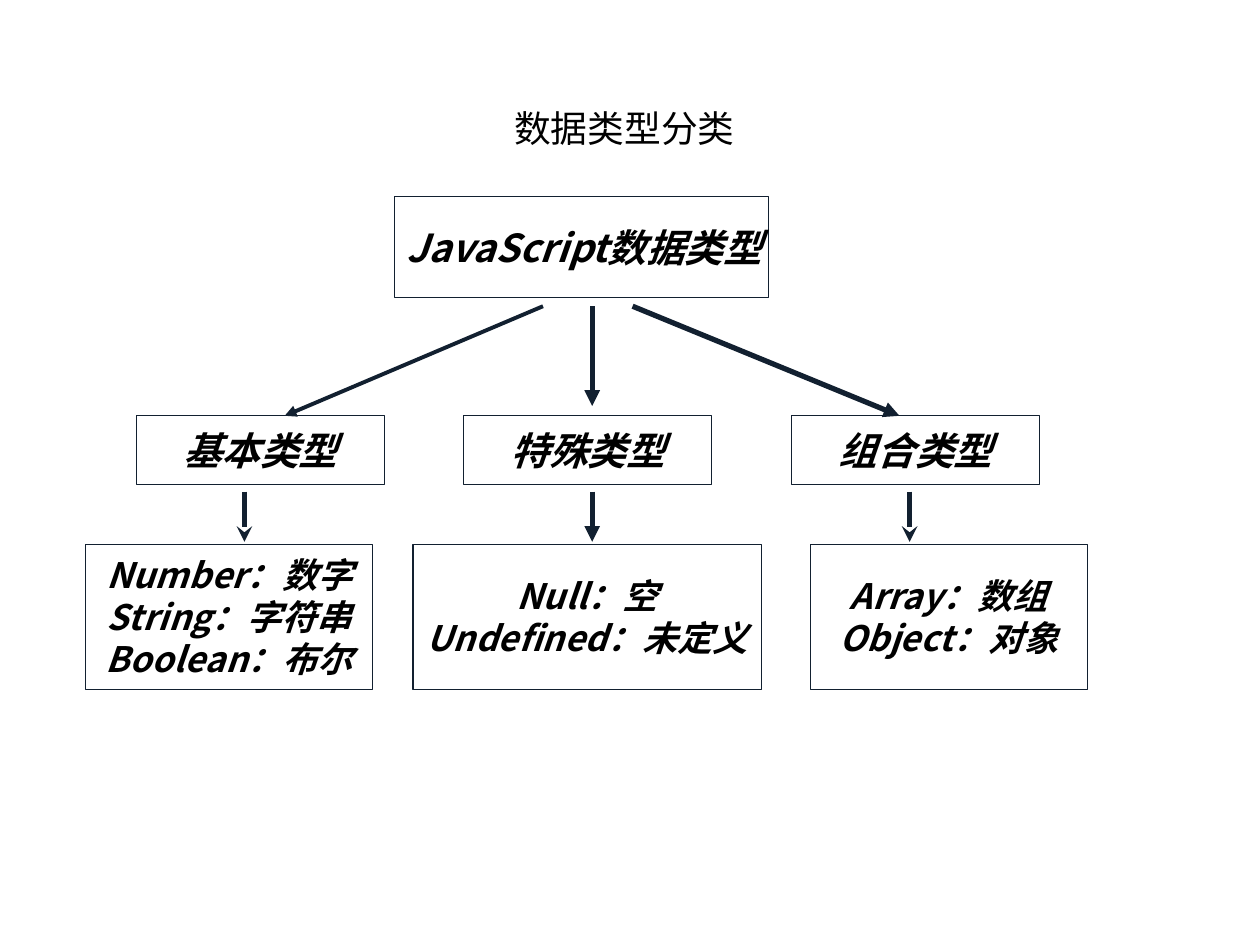
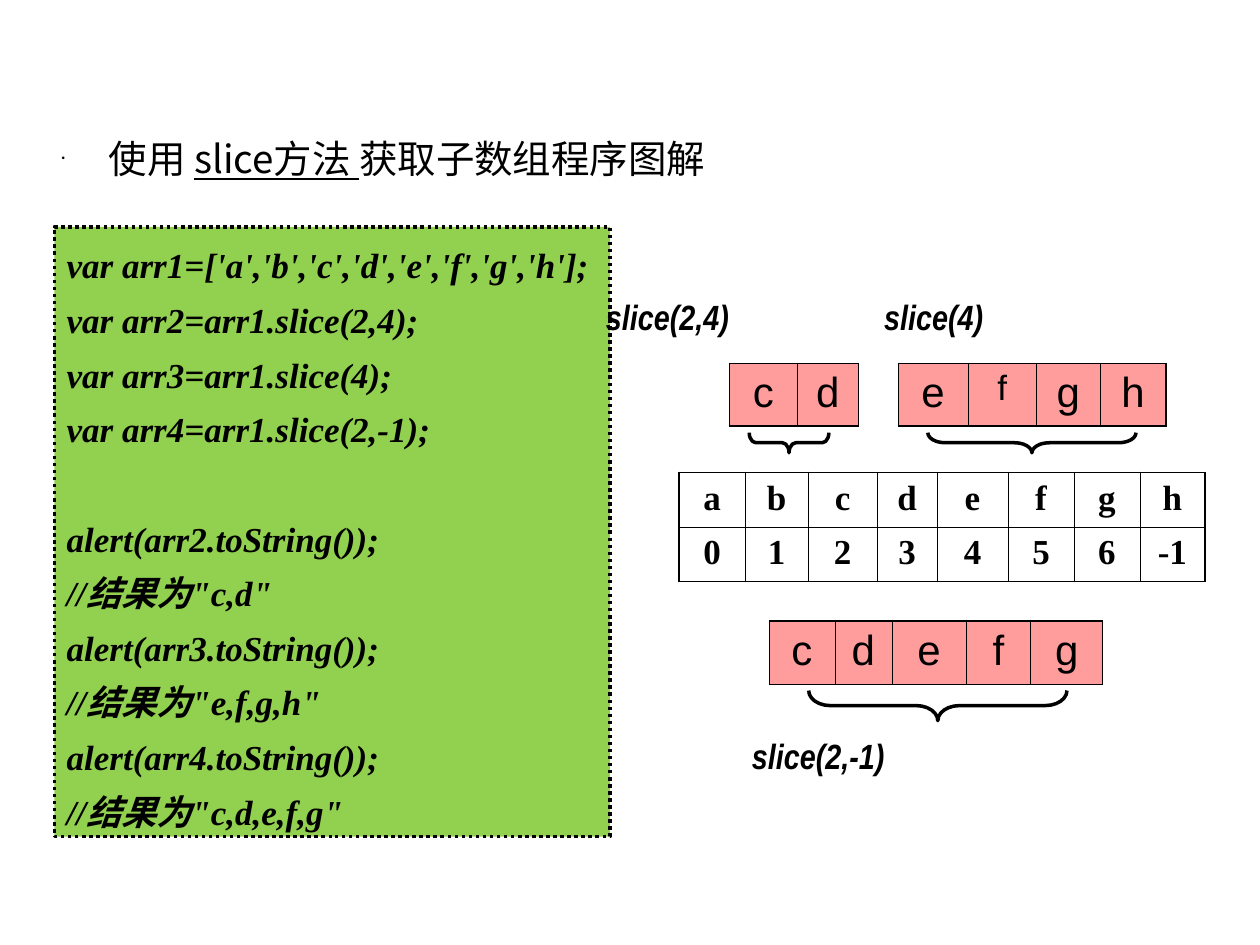
from lxml.etree import SubElement
from pptx import Presentation
from pptx.dml.color import RGBColor
from pptx.enum.dml import MSO_LINE
from pptx.enum.shapes import MSO_CONNECTOR, MSO_SHAPE
from pptx.enum.text import MSO_ANCHOR, MSO_AUTO_SIZE, PP_ALIGN
from pptx.oxml import parse_xml
from pptx.oxml.ns import nsdecls, qn
from pptx.util import Pt

COLOURS = {
    "text": "000000",
    "navy": "122030",
    "white": "FFFFFF",
    "green": "92D050",
    "pink": "FF9D9D",
}
CHINESE_FONT = "Noto Sans CJK SC"
TITLE_FONT = {"name": CHINESE_FONT, "size": Pt(21)}
HEADING_FONT = {"name": CHINESE_FONT, "size": Pt(22)}
CATEGORY_FONT = {"name": CHINESE_FONT, "size": Pt(22), "bold": True, "italic": True}
MEMBER_FONT = CATEGORY_FONT | {"size": Pt(20)}
CODE_FONT = MEMBER_FONT | {"name": "Times New Roman"}
LABEL_FONT = MEMBER_FONT | {"name": "Arial Narrow"}
INDEX_FONT = {"name": "Times New Roman", "size": Pt(20), "bold": True}
LETTER_FONT = {"name": "Arial", "size": Pt(24)}


def write(paragraph, text, font_values, alignment=PP_ALIGN.LEFT, hanging=0):
    paragraph.alignment = alignment
    properties = paragraph._p.get_or_add_pPr()
    properties.set("marL", str(Pt(hanging)))
    properties.set("indent", str(-Pt(hanging)))
    run = paragraph.add_run()
    run.text = text
    for name, value in font_values.items():
        setattr(run.font, name, value)
    run.font.color.rgb = RGBColor.from_string(COLOURS["text"])
    east_asian = SubElement(run._r.get_or_add_rPr(), qn("a:ea"))
    east_asian.set("typeface", CHINESE_FONT)


def add_box(slide, bounds, lines, font_values, alignment, fill, line, width):
    box = slide.shapes.add_shape(MSO_SHAPE.RECTANGLE, *map(Pt, bounds))
    box.shadow.inherit = False
    box.fill.solid()
    box.fill.fore_color.rgb = RGBColor.from_string(COLOURS[fill])
    box.line.color.rgb = RGBColor.from_string(COLOURS[line])
    box.line.width = Pt(width)
    frame = box.text_frame
    frame.word_wrap = False
    frame.vertical_anchor = MSO_ANCHOR.MIDDLE
    for number, text in enumerate(lines):
        paragraph = frame.add_paragraph() if number else frame.paragraphs[0]
        write(paragraph, text, font_values, alignment, hanging=72)
    return box


presentation = Presentation()
presentation.slide_width = Pt(720)
presentation.slide_height = Pt(540)
title_only = presentation.slide_layouts[5]
types_slide = presentation.slides.add_slide(title_only)
slice_slide = presentation.slides.add_slide(title_only)

titles = [
    (types_slide, (106.5, 56, 500.5, 34), MSO_ANCHOR.MIDDLE),
    (slice_slide, (28, 73.5, 427.5, 35.5), MSO_ANCHOR.TOP),
]
for slide, bounds, anchor in titles:
    title = slide.shapes.title
    title.left, title.top, title.width, title.height = map(Pt, bounds)
    title.text_frame.auto_size = MSO_AUTO_SIZE.NONE
    title.text_frame.word_wrap = True
    title.text_frame.vertical_anchor = anchor

title_paragraph = types_slide.shapes.title.text_frame.paragraphs[0]
write(title_paragraph, "数据类型分类", TITLE_FONT, PP_ALIGN.CENTER)

add_box(types_slide, (225.5, 112.5, 213.5, 57.5), ["JavaScript数据类型"],
        CATEGORY_FONT, PP_ALIGN.LEFT, "white", "navy", 0.75)
branches = [
    ("基本类型", 49, 164, ["Number：数字", "String：字符串", "Boolean：布尔"]),
    ("特殊类型", 236, 199, ["Null：空", "Undefined：未定义"]),
    ("组合类型", 463, 158.5, ["Array：数组", "Object：对象"]),
]
for column, (category, left, width, members) in enumerate(branches):
    add_box(types_slide, (77.8 + 187.2 * column, 237.5, 141.75, 39.5), [category],
            CATEGORY_FONT, PP_ALIGN.CENTER, "white", "navy", 0.75)
    add_box(types_slide, (left, 311, width, 83), members,
            MEMBER_FONT, PP_ALIGN.CENTER, "white", "navy", 0.75)

arrows = [
    (310.3, 175, 162.7, 237.6, 2.25, "triangle"),
    (338.4, 175, 338.4, 232, 3, "triangle"),
    (361.5, 175, 514, 237.6, 3, "triangle"),
    (338.4, 281, 338.4, 309.6, 3, "triangle"),
    (139.7, 281, 139.7, 309.6, 3, "stealth"),
    (519.8, 281, 519.8, 309.6, 3, "stealth"),
]
for *ends, width, head in arrows:
    arrow = types_slide.shapes.add_connector(MSO_CONNECTOR.STRAIGHT, *map(Pt, ends))
    arrow.line.color.rgb = RGBColor.from_string(COLOURS["navy"])
    arrow.line.width = Pt(width)
    SubElement(arrow.line._get_or_add_ln(), qn("a:tailEnd")).set("type", head)
    SubElement(arrow._element.spPr, qn("a:effectLst"))

heading = slice_slide.shapes.title.text_frame.paragraphs[0]
heading_properties = heading._p.get_or_add_pPr()
bullet_parts = [
    f'<a:buClr {nsdecls("a")}><a:srgbClr val="{COLOURS["text"]}"/></a:buClr>',
    f'<a:buSzPct {nsdecls("a")} val="25000"/>',
    f'<a:buFont {nsdecls("a")} typeface="Arial"/>',
    f'<a:buChar {nsdecls("a")} char="•"/>',
]
for part in bullet_parts:
    heading_properties.append(parse_xml(part))
for text, underline in [("使用 ", False), ("slice方法 ", True), ("获取子数组程序图解", False)]:
    write(heading, text, HEADING_FONT | {"underline": underline}, hanging=27)

code_lines = [
    "var arr1=['a','b','c','d','e','f','g','h'];",
    "var arr2=arr1.slice(2,4);",
    "var arr3=arr1.slice(4);",
    "var arr4=arr1.slice(2,-1);",
    "alert(arr2.toString());",
    '//结果为"c,d"',
    "alert(arr3.toString());",
    '//结果为"e,f,g,h"',
    "alert(arr4.toString());",
    '//结果为"c,d,e,f,g"',
]
code_box = add_box(slice_slide, (31, 129.6, 317.5, 348.5), code_lines,
                   CODE_FONT, PP_ALIGN.LEFT, "green", "text", 2)
code_box.line.dash_style = MSO_LINE.ROUND_DOT
for paragraph in code_box.text_frame.paragraphs:
    paragraph.line_spacing = 1.3
code_box.text_frame.paragraphs[4].space_before = Pt(31.25)

tables = [
    (388.1, 270, 31.2, [37.7, 36, 39.4, 34.3, 40.6, 37.7, 37.7, 37.1],
     [list("abcdefgh"), [*"0123456", "-1"]], INDEX_FONT, None, "LRTB"),
    (513.2, 207.4, 36, [40, 38.9, 36.6, 37.7], ["efgh"], LETTER_FONT, "pink", "RB"),
    (416.7, 207.4, 36, [38.9, 34.9], ["cd"], LETTER_FONT, "pink", "B"),
    (439.4, 354.8, 36, [37.7, 32.6, 42.3, 37.1, 41.1], ["cdefg"], LETTER_FONT, "pink", "T"),
]
for left, top, row_height, widths, rows, font_values, fill, thick_sides in tables:
    table = slice_slide.shapes.add_table(
        len(rows), len(widths), Pt(left), Pt(top),
        Pt(sum(widths)), Pt(row_height * len(rows))).table
    table.first_row = False
    table.horz_banding = False
    for column, width in zip(table.columns, widths):
        column.width = Pt(width)
    for row_number, letters in enumerate(rows):
        table.rows[row_number].height = Pt(row_height)
        for column_number, letter in enumerate(letters):
            cell = table.cell(row_number, column_number)
            if fill:
                cell.fill.solid()
                cell.fill.fore_color.rgb = RGBColor.from_string(COLOURS[fill])
            else:
                cell.fill.background()
            smaller = {"size": Pt(20)} if letters == "efgh" and letter == "f" else {}
            write(cell.text_frame.paragraphs[0], letter, font_values | smaller, PP_ALIGN.CENTER)
            outer_sides = {
                "L": column_number == 0,
                "R": column_number == len(letters) - 1,
                "T": row_number == 0,
                "B": row_number == len(rows) - 1,
            }
            for position, (side, is_outer) in enumerate(outer_sides.items()):
                border_width = Pt(1.08 if is_outer and side in thick_sides else 0.45)
                border = parse_xml(
                    f'<a:ln{side} {nsdecls("a")} w="{border_width}"><a:solidFill>'
                    f'<a:srgbClr val="{COLOURS["text"]}"/></a:solidFill></a:ln{side}>')
                cell._tc.get_or_add_tcPr().insert(position, border)

labels = [
    ("slice(2,4)", 339.1, 165.6, 229),
    ("slice(4)", 498.2, 165.6, 215.3),
    ("slice(2,-1)", 422.6, 416.2, 234),
]
for text, left, top, width in labels:
    label = slice_slide.shapes.add_textbox(Pt(left), Pt(top), Pt(width), Pt(31))
    label.text_frame.word_wrap = False
    label.text_frame.auto_size = MSO_AUTO_SIZE.SHAPE_TO_FIT_TEXT
    write(label.text_frame.paragraphs[0], text, LABEL_FONT, hanging=72)

braces = [
    (450.9, 253, 45.5, 11.5),
    (589.7, 253, 119, 11.5),
    (535.9, 403.2, 147.6, 17.2),
]
for center_x, center_y, length, depth in braces:
    brace = slice_slide.shapes.add_shape(
        MSO_SHAPE.LEFT_BRACE, Pt(center_x - depth / 2), Pt(center_y - length / 2),
        Pt(depth), Pt(length))
    brace.rotation = 270
    brace.adjustments[0] = length / 12 / depth
    brace.shadow.inherit = False
    brace.fill.background()
    brace.line.color.rgb = RGBColor.from_string(COLOURS["text"])
    brace.line.width = Pt(2)

presentation.save("out.pptx")
